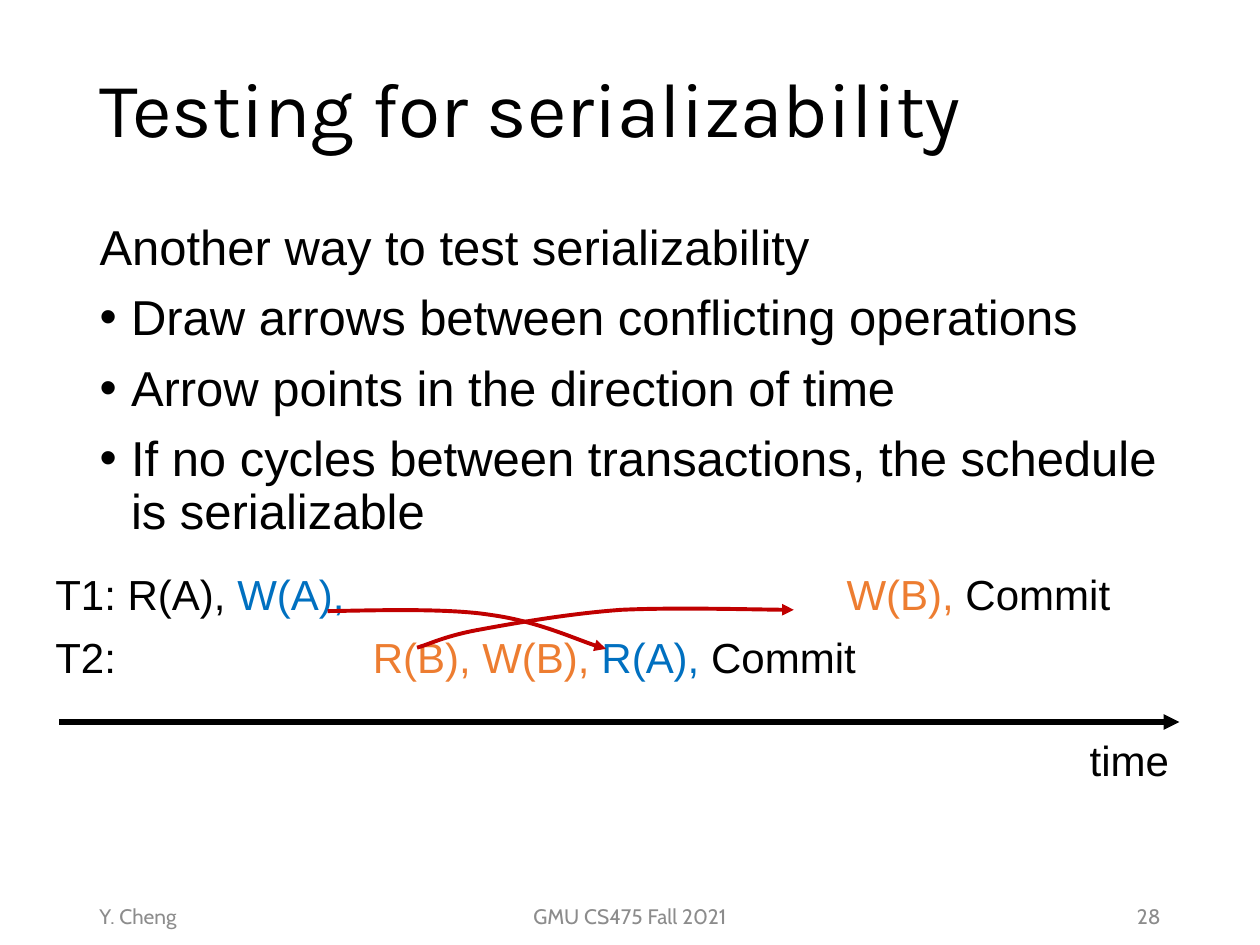
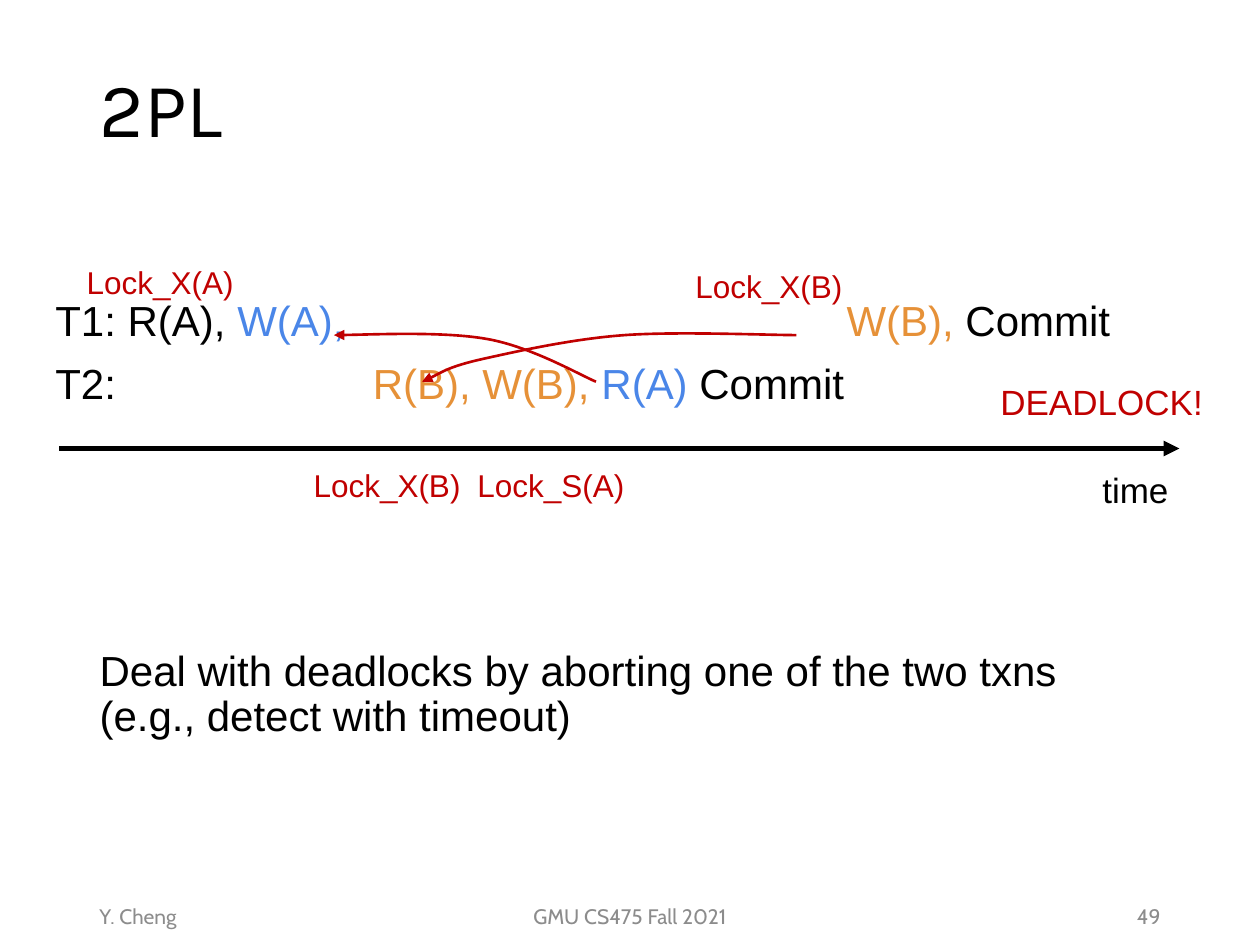
from lxml.etree import SubElement as Sub
from pptx import Presentation
from pptx.dml.color import RGBColor as RGB
from pptx.enum.shapes import MSO_CONNECTOR as Conn
from pptx.enum.text import MSO_ANCHOR as Anchor, MSO_AUTO_SIZE as Fit, PP_ALIGN as Align
from pptx.oxml.ns import qn
from pptx.util import Inches, Pt

HUES = {"ink": "000000", "gray": "8C8C8C", "red": "C00000", "blue": "0070C0",
        "rust": "ED7D31", "sky": "4A86E8", "amber": "E69138"}
FOOTS = [(0.69, 2.25, Align.LEFT), (3.31, 3.38, Align.CENTER), (7.06, 2.25, Align.RIGHT)]
TABS = [6.28, 2.52]
LOCK = (1.4, 0.46)

PAGES = [
    {"title": "Testing for serializability", "num": "28",
     "body": {"at": (0.69, 1.72, 8.62, 5.24), "size": 28, "items": [
         ("Another way to test serializability", False),
         ("Draw arrows between conflicting operations", True),
         ("Arrow points in the direction of time", True),
         ("If no cycles between transactions, the schedule is serializable", True)]},
     "plan": {"top": 4.46, "rows": [
         [("T1: R(A), ", "ink"), ("W(A),\t", "blue"), ("W(B), ", "rust"), ("Commit", "ink")],
         [("T2:\t", "ink"), ("R(B), W(B), ", "rust"), ("R(A), ", "blue"), ("Commit", "ink")]]},
     "axis": 5.73,
     "time": {"at": (8.55, 5.66, 0.98, 0.68), "size": 24},
     "arcs": {"end": "tailEnd", "width": 2.25, "paths": [
         [(3.31, 5.14), (3.39, 5.12), (3.52, 5.05), (3.79, 5), (4.06, 4.95),
          (4.51, 4.87), (4.93, 4.84), (5.35, 4.82), (6.07, 4.84), (6.3, 4.84)],
         [(2.6, 4.85), (2.81, 4.85), (3.52, 4.82), (3.89, 4.88),
          (4.26, 4.93), (4.65, 5.11), (4.81, 5.15)]]},
     "notes": []},
    {"title": "2PL", "num": "49",
     "body": {"at": (0.69, 5.11, 8.62, 1.14), "size": 24, "items": [
         ("Deal with deadlocks by aborting one of the two txns (e.g., detect with timeout)", False)]},
     "plan": {"top": 2.28, "rows": [
         [("T1: R(A), ", "ink"), ("W(A),\t", "sky"), ("W(B),", "amber"), (" Commit", "ink")],
         [("T2:\t", "ink"), ("R(B), W(B), ", "amber"), ("R(A) ", "sky"), ("Commit", "ink")]]},
     "axis": 3.56,
     "time": {"at": (8.65, 3.63, 0.82, 0.46), "size": 20},
     "arcs": {"end": "headEnd", "width": 1.5, "paths": [
         [(3.35, 3.03), (3.43, 3), (3.56, 2.91), (3.83, 2.85), (4.1, 2.79),
          (4.54, 2.69), (4.96, 2.66), (5.37, 2.63), (6.1, 2.66), (6.32, 2.66)],
         [(2.65, 2.66), (2.85, 2.66), (3.52, 2.63), (3.86, 2.69),
          (4.21, 2.75), (4.59, 2.97), (4.73, 3.03)]]},
     "notes": [("Lock_X(A)", (0.59, 2.02, *LOCK), 18), ("Lock_X(B)", (2.39, 3.63, *LOCK), 18),
               ("Lock_S(A)", (3.69, 3.63, *LOCK), 18), ("Lock_X(B)", (5.42, 2.05, *LOCK), 18),
               ("DEADLOCK!", (7.84, 2.96, 1.82, 0.49), 20)]},
]


def place(shape, at):
    shape.left, shape.top, shape.width, shape.height = map(Inches, at)


def set_up(frame, anchor=Anchor.TOP, pad=0.05):
    frame.word_wrap = True
    frame.auto_size = Fit.NONE
    frame.vertical_anchor = anchor
    frame.margin_left = frame.margin_right = Inches(0.1)
    frame.margin_top = frame.margin_bottom = Inches(pad)
    return frame


def add_box(slide, at, anchor=Anchor.TOP, pad=0.1):
    return set_up(slide.shapes.add_textbox(*map(Inches, at)).text_frame, anchor, pad)


def write(para, runs, size, font="Arial", gap=0, lead=0.9, align=Align.LEFT):
    para.line_spacing, para.space_before, para.alignment = lead, Pt(gap), align
    for text, hue in runs:
        run = para.add_run()
        run.text = text
        run.font.size, run.font.name = Pt(size), font
        run.font.color.rgb = RGB.from_string(HUES[hue])


def get_para(frame, i):
    return frame.add_paragraph() if i else frame.paragraphs[0]


def mark(para, dot):
    props = para._p.get_or_add_pPr()
    step = Inches(0.25) if dot else 0
    props.set("marL", str(step))
    props.set("indent", str(-step))
    if dot:
        Sub(props, qn("a:buChar"), char="•")
    else:
        Sub(props, qn("a:buNone"))


def add_tab(para, pos):
    tabs = Sub(para._p.get_or_add_pPr(), qn("a:tabLst"))
    Sub(tabs, qn("a:tab"), pos=str(Inches(pos)), algn="l")


def ink(shape, hue, width, end):
    shape.line.color.rgb = RGB.from_string(HUES[hue])
    shape.line.width = Pt(width)
    props = shape._element.spPr
    Sub(props.get_or_add_ln(), qn("a:" + end), type="triangle")
    return props


def add_arc(slide, points, width, end):
    start, *rest = [(Inches(x), Inches(y)) for x, y in points]
    pen = slide.shapes.build_freeform(*start)
    pen.add_line_segments(rest, close=False)
    arc = pen.convert_to_shape()
    arc.shadow.inherit = False
    arc.fill.background()
    ink(arc, "red", width, end)
    route = arc._element.xpath(".//a:pathLst/*")[0]
    route.set("fill", "none")
    lines = route.findall(qn("a:lnTo"))
    for i in range(0, len(lines), 3):
        curve = Sub(route, qn("a:cubicBezTo"))
        for line in lines[i:i + 3]:
            curve.append(line[0])
            route.remove(line)


def add_page(deck, page):
    slide = deck.slides.add_slide(deck.slide_layouts[1])
    title, body = slide.placeholders
    place(title, (0.69, 0.17, 8.62, 1.45))
    write(set_up(title.text_frame, Anchor.MIDDLE).paragraphs[0],
          [(page["title"], "ink")], 44, "Karla")

    spec = page["body"]
    place(body, spec["at"])
    frame = set_up(body.text_frame)
    for i, (text, dot) in enumerate(spec["items"]):
        para = get_para(frame, i)
        write(para, [(text, "ink")], spec["size"], gap=10)
        mark(para, dot)

    texts = ["Y. Cheng", "GMU CS475 Fall 2021", page["num"]]
    for text, (left, width, align) in zip(texts, FOOTS):
        foot = add_box(slide, (left, 7.07, width, 0.4), Anchor.MIDDLE, 0.05)
        write(foot.paragraphs[0], [(text, "gray")], 12, "Cabin", lead=1, align=align)

    y = Inches(page["axis"])
    axis = slide.shapes.add_connector(Conn.STRAIGHT, Inches(0.47), y, Inches(9.36), y)
    Sub(ink(axis, "ink", 3, "tailEnd"), qn("a:effectLst"))
    time = page["time"]
    write(add_box(slide, time["at"], Anchor.MIDDLE).paragraphs[0],
          [("time", "ink")], time["size"], gap=10, lead=1.15)

    frame = add_box(slide, (0.34, page["plan"]["top"], 9.32, 1.21))
    for i, (row, tab) in enumerate(zip(page["plan"]["rows"], TABS)):
        para = get_para(frame, i)
        write(para, row, 24, gap=10)
        add_tab(para, tab)

    arcs = page["arcs"]
    for points in arcs["paths"]:
        add_arc(slide, points, arcs["width"], arcs["end"])
    for text, at, size in page["notes"]:
        write(add_box(slide, at).paragraphs[0], [(text, "red")], size)


def main():
    deck = Presentation()
    deck.slide_width, deck.slide_height = Inches(10), Inches(7.5)
    for page in PAGES:
        add_page(deck, page)
    deck.save("out.pptx")


if __name__ == "__main__":
    main()
